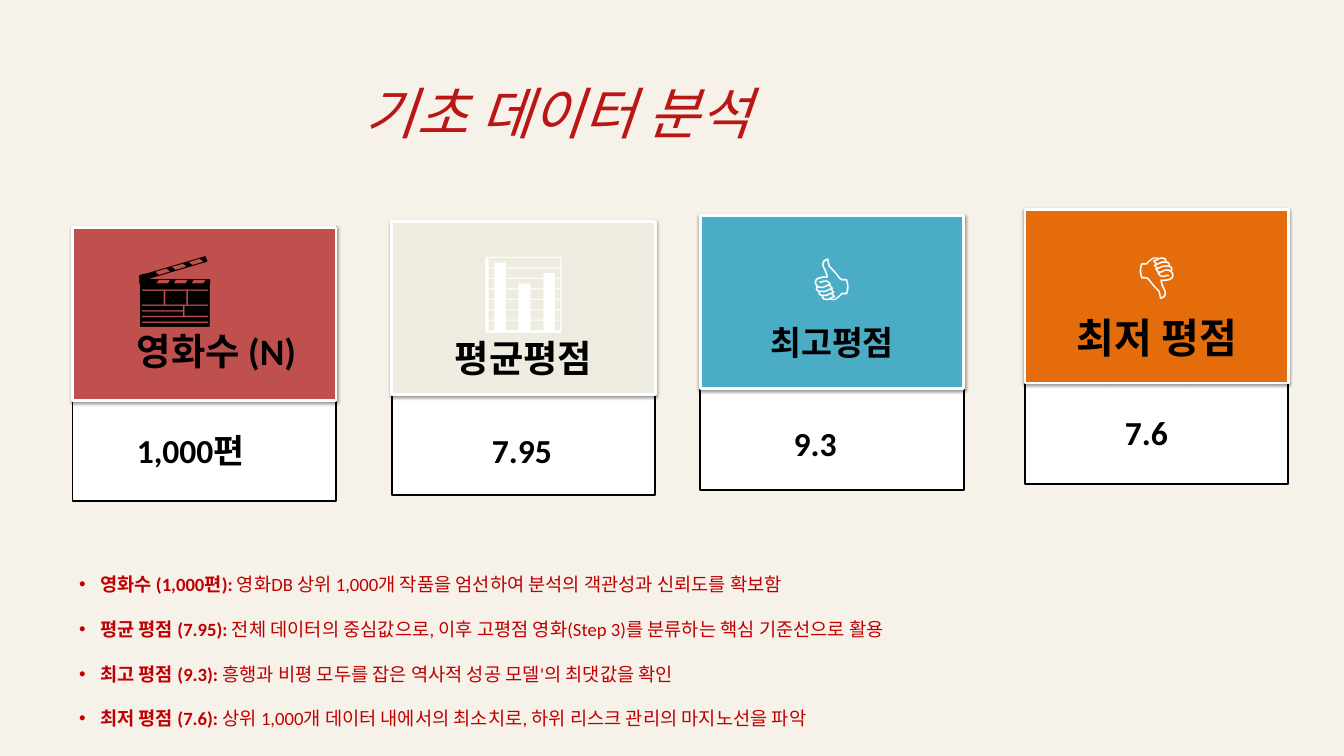
from dataclasses import dataclass

from lxml.etree import SubElement
from pptx import Presentation
from pptx.dml.color import RGBColor
from pptx.enum.shapes import MSO_SHAPE
from pptx.enum.text import MSO_ANCHOR, MSO_AUTO_SIZE, PP_ALIGN
from pptx.oxml.ns import qn
from pptx.util import Cm, Pt


@dataclass(frozen=True)
class Theme:
    """Colours, fonts and type sizes of the slide."""
    background: str = "F6F2EA"
    title: str = "BB1616"
    note: str = "C00000"
    ink: str = "000000"
    paper: str = "FFFFFF"
    red: str = "C0504D"
    cream: str = "EEECE1"
    blue: str = "4BACC6"
    orange: str = "E46C0A"
    title_font: str = "Roboto"
    body_font: str = "Calibri"
    title_size: int = 60
    value_size: int = 36
    note_size: int = 20


@dataclass(frozen=True)
class Box:
    """A rectangle in centimetres."""
    left: float
    top: float
    width: float
    height: float

    def inner(self, left, top, width, height):
        """Return a box placed relative to this one."""
        return Box(self.left + left, self.top + top, width, height)

    def lengths(self):
        """Return left, top, width and height as slide lengths."""
        return Cm(self.left), Cm(self.top), Cm(self.width), Cm(self.height)


@dataclass(frozen=True)
class Card:
    """One figure: its place, heading and value."""
    left: float
    fill: str
    icon: str
    icon_size: int
    label: str
    label_size: int
    value: str
    value_left: float
    value_top: float


THEME = Theme()
CARD_WIDTH, CARD_HEIGHT, HEADER_HEIGHT = 9.96, 10.36, 6.55
FIRST_TOP, TOP_STEP = 8.59, -0.22
CARDS = [
    Card(2.74, THEME.red, "🎬", 80, "영화수 (N)", 40, "1,000편", 2.18, 7.54),
    Card(14.81, THEME.cream, "📊", 88, "평균평점", 40, "7.95", 3.53, 7.75),
    Card(26.47, THEME.blue, "👍", 72, "최고평점", 36, "9.3", 3.28, 7.72),
    Card(38.74, THEME.orange, "👎", 72, "최저 평점", 44, "7.6", 3.53, 7.52),
]
NOTES = [
    ("영화수 (1,000편): ", "영화DB 상위 1,000개 작품을 엄선하여 분석의 객관성과 신뢰도를 확보함"),
    ("평균 평점 (7.95): ", "전체 데이터의 중심값으로, 이후 고평점 영화(Step 3)를 분류하는 핵심 기준선으로 활용"),
    ("최고 평점 (9.3): ", "흥행과 비평 모두를 잡은 역사적 성공 모델'의 최댓값을 확인"),
    ("최저 평점 (7.6): ", "상위 1,000개 데이터 내에서의 최소치로, 하위 리스크 관리의 마지노선을 파악"),
]


def place(shape, box):
    """Move and size a shape to a box."""
    shape.left, shape.top, shape.width, shape.height = box.lengths()


def add_run(paragraph, text, size, colour, bold=False, italic=False, font=THEME.body_font):
    """Add one formatted run to a paragraph."""
    run = paragraph.add_run()
    run.text = text
    run.font.name = font
    run.font.size = Pt(size)
    run.font.bold = bold
    run.font.italic = italic
    run.font.color.rgb = RGBColor.from_string(colour)


def next_paragraph(text_frame, index):
    """Return the first paragraph, or a new one after it."""
    return text_frame.add_paragraph() if index else text_frame.paragraphs[0]


def add_panel(slide, box, fill, line, line_width):
    """Add a flat outlined rectangle."""
    shape = slide.shapes.add_shape(MSO_SHAPE.RECTANGLE, *box.lengths())
    shape.shadow.inherit = False
    shape.fill.solid()
    shape.fill.fore_color.rgb = RGBColor.from_string(fill)
    shape.line.color.rgb = RGBColor.from_string(line)
    shape.line.width = Pt(line_width)
    return shape


def add_soft_shadow(shape):
    """Give a shape a small shadow below it."""
    effects = shape.element.spPr.find(qn("a:effectLst"))
    shadow = SubElement(effects, qn("a:outerShdw"), blurRad=str(Pt(3.1)),
                        dist=str(Pt(1.6)), dir="5400000", rotWithShape="0")
    colour = SubElement(shadow, qn("a:srgbClr"), val=THEME.ink)
    SubElement(colour, qn("a:alpha"), val="38000")


def add_text_box(slide, box):
    """Add a wrapping text box and return its text frame."""
    text_frame = slide.shapes.add_textbox(*box.lengths()).text_frame
    text_frame.word_wrap = True
    return text_frame


def fill_heading(text_frame, card, icon_colour, alignment):
    """Write the icon and label of a card."""
    parts = [(card.icon, card.icon_size, icon_colour, False),
             (card.label, card.label_size, THEME.ink, True)]
    for index, part in enumerate(parts):
        paragraph = next_paragraph(text_frame, index)
        paragraph.alignment = alignment
        add_run(paragraph, *part)


def add_card(slide, box, card, heading_in_box):
    """Draw one card: body, coloured header, heading and value."""
    add_panel(slide, box, THEME.paper, THEME.ink, 2)
    header = add_panel(slide, box.inner(0, 0, box.width, HEADER_HEIGHT),
                       card.fill, THEME.paper, 3)
    add_soft_shadow(header)
    if heading_in_box:
        heading = add_text_box(slide, box.inner(2.18, 0.3, 7.26, 5.38))
        fill_heading(heading, card, THEME.ink, PP_ALIGN.LEFT)
    else:
        header.text_frame.vertical_anchor = MSO_ANCHOR.MIDDLE
        fill_heading(header.text_frame, card, THEME.paper, PP_ALIGN.CENTER)
    value = add_text_box(slide, box.inner(card.value_left, card.value_top, 6.35, 1.8))
    add_run(value.paragraphs[0], card.value, THEME.value_size, THEME.ink, bold=True)


def fill_title(shape, box):
    """Place and write the slide title."""
    place(shape, box)
    text_frame = shape.text_frame
    text_frame.auto_size = MSO_AUTO_SIZE.NONE
    text_frame.vertical_anchor = MSO_ANCHOR.TOP
    text_frame.margin_left = text_frame.margin_right = 0
    text_frame.margin_top = text_frame.margin_bottom = 0
    paragraph = text_frame.paragraphs[0]
    paragraph.alignment = PP_ALIGN.LEFT
    paragraph.line_spacing = Pt(131.3)
    add_run(paragraph, "기초 데이터 분석", THEME.title_size, THEME.title,
            italic=True, font=THEME.title_font)


def fill_notes(shape, box):
    """Place and write the bulleted notes."""
    place(shape, box)
    shape.text_frame.auto_size = MSO_AUTO_SIZE.NONE
    for index, (lead, detail) in enumerate(NOTES):
        paragraph = next_paragraph(shape.text_frame, index)
        paragraph.line_spacing = 2.0
        paragraph.space_before = Pt(0)
        properties = paragraph._p.get_or_add_pPr()
        properties.set("marL", str(Cm(0.79)))
        properties.set("indent", str(Cm(-0.79)))
        SubElement(properties, qn("a:buFont"), typeface="Arial")
        SubElement(properties, qn("a:buChar"), char="•")
        add_run(paragraph, lead, THEME.note_size, THEME.note, bold=True)
        add_run(paragraph, detail, THEME.note_size, THEME.note)


def main():
    """Build and save the presentation."""
    presentation = Presentation()
    presentation.slide_width = Cm(50.8)
    presentation.slide_height = Cm(28.58)
    slide = presentation.slides.add_slide(presentation.slide_layouts[1])
    slide.background.fill.solid()
    slide.background.fill.fore_color.rgb = RGBColor.from_string(THEME.background)
    fill_title(slide.shapes.title, Box(13.79, 0.86, 29.79, 4.14))
    for index, card in enumerate(CARDS):
        box = Box(card.left, FIRST_TOP + index * TOP_STEP, CARD_WIDTH, CARD_HEIGHT)
        add_card(slide, box, card, heading_in_box=index == 0)
    fill_notes(slide.placeholders[1], Box(2.74, 20.68, 40.21, 6.86))
    presentation.save("out.pptx")


if __name__ == "__main__":
    main()
